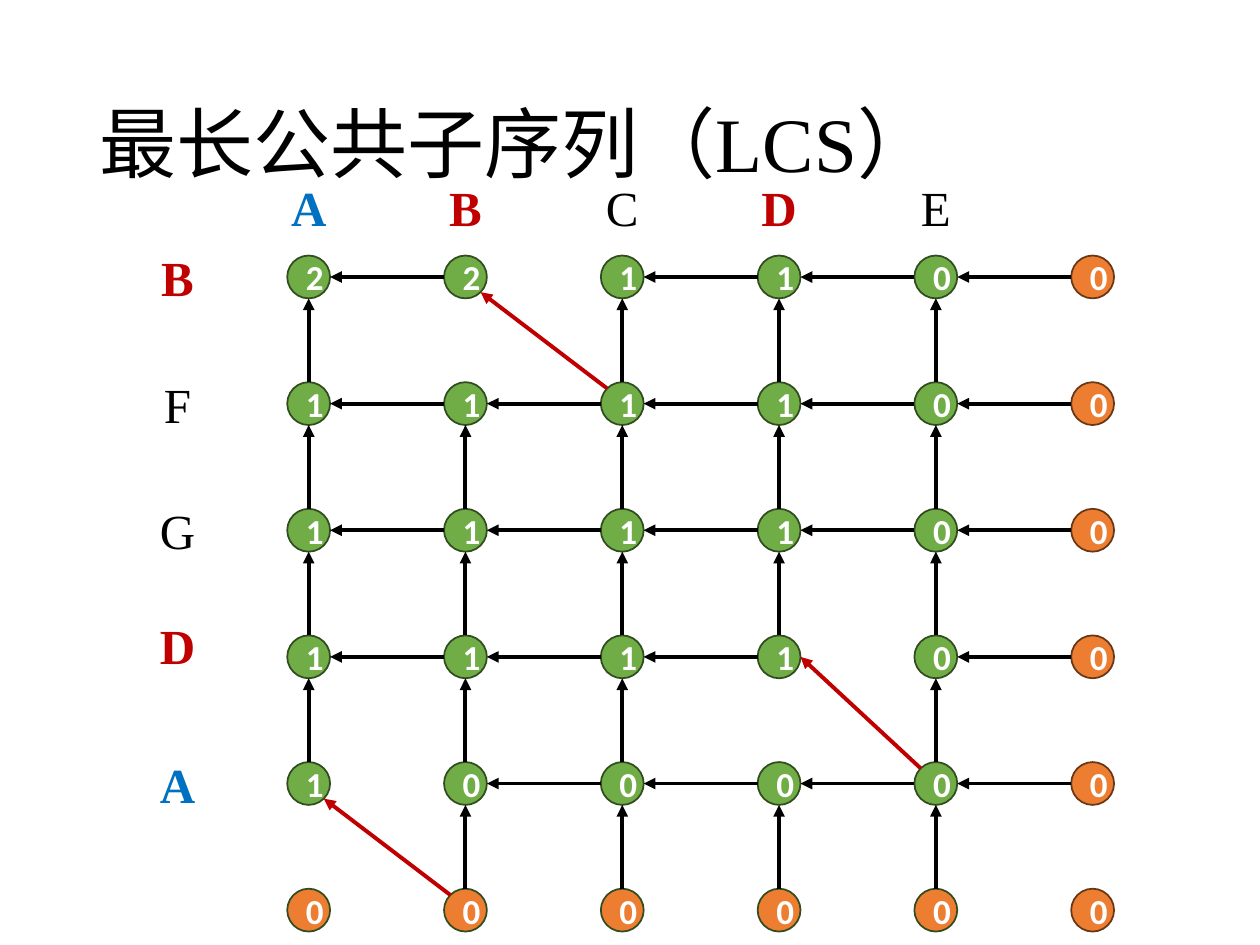
from math import cos, radians, sin

from lxml.etree import SubElement
from pptx import Presentation
from pptx.dml.color import RGBColor
from pptx.enum.shapes import MSO_CONNECTOR as CXN, MSO_SHAPE as SHAPE
from pptx.enum.text import MSO_ANCHOR as ANCHOR, MSO_AUTO_SIZE as AUTO, PP_ALIGN as ALIGN
from pptx.oxml.ns import qn
from pptx.util import Pt

SERIF = "Times New Roman"
BLACK, RED, BLUE = "000000", "C00000", "0070C0"
GREEN, ORANGE = "70AD47", "ED7D31"
LETTER_COLORS = {"A": BLUE, "B": RED, "D": RED}
ACROSS, DOWN = "ABCDE", "BFGDA"
LENGTHS = ["221100", "111100", "111100", "111100", "100000", "000000"]
MATCH_END_ANGLES = {(0, 1): 45, (3, 3): 0, (4, 0): 45}
RADIUS = 12.25


def rgb(value):
    """Return the colour for a hex string."""
    return RGBColor.from_string(value)


def set_text(tf, text, size, name, color, bold=False, align=ALIGN.CENTER):
    """Put one formatted paragraph, vertically centred, in a text frame."""
    tf.vertical_anchor = ANCHOR.MIDDLE
    p = tf.paragraphs[0]
    p.text, p.alignment = text, align
    p.font.size, p.font.name, p.font.bold = Pt(size), name, bold
    p.font.color.rgb = rgb(color)


def add_title(s, left, top, width, height, text):
    """Fill and place the title placeholder."""
    sp = s.shapes.title
    sp.left, sp.top, sp.width, sp.height = Pt(left), Pt(top), Pt(width), Pt(height)
    set_text(sp.text_frame, text, 44, SERIF, BLACK, align=ALIGN.LEFT)
    sp.text_frame.auto_size = AUTO.NONE


def add_node(s, x, y, text, fill, line):
    """Draw a numbered circle centred on a point."""
    sp = s.shapes.add_shape(SHAPE.OVAL, Pt(x - RADIUS), Pt(y - RADIUS),
                            Pt(2 * RADIUS), Pt(2 * RADIUS))
    sp.shadow.inherit = False
    sp.fill.solid()
    sp.fill.fore_color.rgb = rgb(fill)
    sp.line.color.rgb, sp.line.width = rgb(line), Pt(1)
    set_text(sp.text_frame, text, 20, "Calibri", "FFFFFF", bold=True)


def add_arrow(s, start, end, start_angle, end_angle, color):
    """Draw an arrow between the rims of two circles given by their centres."""
    (x1, y1), (x2, y2) = [
        (x + RADIUS * cos(radians(a)), y + RADIUS * sin(radians(a)))
        for (x, y), a in ((start, start_angle), (end, end_angle))]
    c = s.shapes.add_connector(CXN.STRAIGHT, Pt(x1), Pt(y1), Pt(x2), Pt(y2))
    c.line.color.rgb, c.line.width = rgb(color), Pt(2.25)
    SubElement(c.line._get_or_add_ln(), qn("a:tailEnd"), type="triangle")
    SubElement(c._element.spPr, qn("a:effectLst"))


def add_letter(s, x, y, letter):
    """Write a sequence letter centred on a point."""
    sp = s.shapes.add_textbox(Pt(x - 17.5), Pt(y - 20.5), Pt(35), Pt(41))
    tf = sp.text_frame
    tf.word_wrap = False
    set_text(tf, letter, 28, SERIF, LETTER_COLORS.get(letter, BLACK),
             bold=letter in LETTER_COLORS)


def add_letters(s, left, top, width, height):
    """Label the columns above and the rows beside the grid box."""
    for i, letter in enumerate(ACROSS):
        add_letter(s, left + i * width / len(ACROSS), top - 40, letter)
    for i, letter in enumerate(DOWN):
        lift = 7 if letter == "D" else 0
        add_letter(s, left - 75, top + i * height / len(DOWN) - lift, letter)


def add_grid(s, left, top, width, height):
    """Draw the table of lengths as circles and arrows on the grid box."""
    rows, cols = len(DOWN), len(ACROSS)

    def center(row, col):
        """Return the centre of a grid cell."""
        return left + col * width / cols, top + row * height / rows

    for row, numbers in enumerate(LENGTHS):
        for col, number in enumerate(numbers):
            fill = ORANGE if row == rows or col == cols else GREEN
            line = "683715" if col == cols else "314C1F"
            add_node(s, *center(row, col), number, fill, line)

    for row in range(rows):
        for col in range(cols):
            end = center(row, col)
            if (row, col) in MATCH_END_ANGLES:
                add_arrow(s, center(row + 1, col + 1), end, 225,
                          MATCH_END_ANGLES[row, col], RED)
            else:
                add_arrow(s, center(row, col + 1), end, 180, 0, BLACK)
                add_arrow(s, center(row + 1, col), end, 270, 90, BLACK)


def main():
    """Build and save the slide."""
    prs = Presentation()
    prs.slide_width, prs.slide_height = Pt(720), Pt(540)
    s = prs.slides.add_slide(prs.slide_layouts[5])
    box = 176.4, 158.3, 448, 361.8
    add_title(s, 49.5, 28.75, 621, 104.5, "最长公共子序列（LCS）")
    add_letters(s, *box)
    add_grid(s, *box)
    prs.save("out.pptx")


if __name__ == "__main__":
    main()
